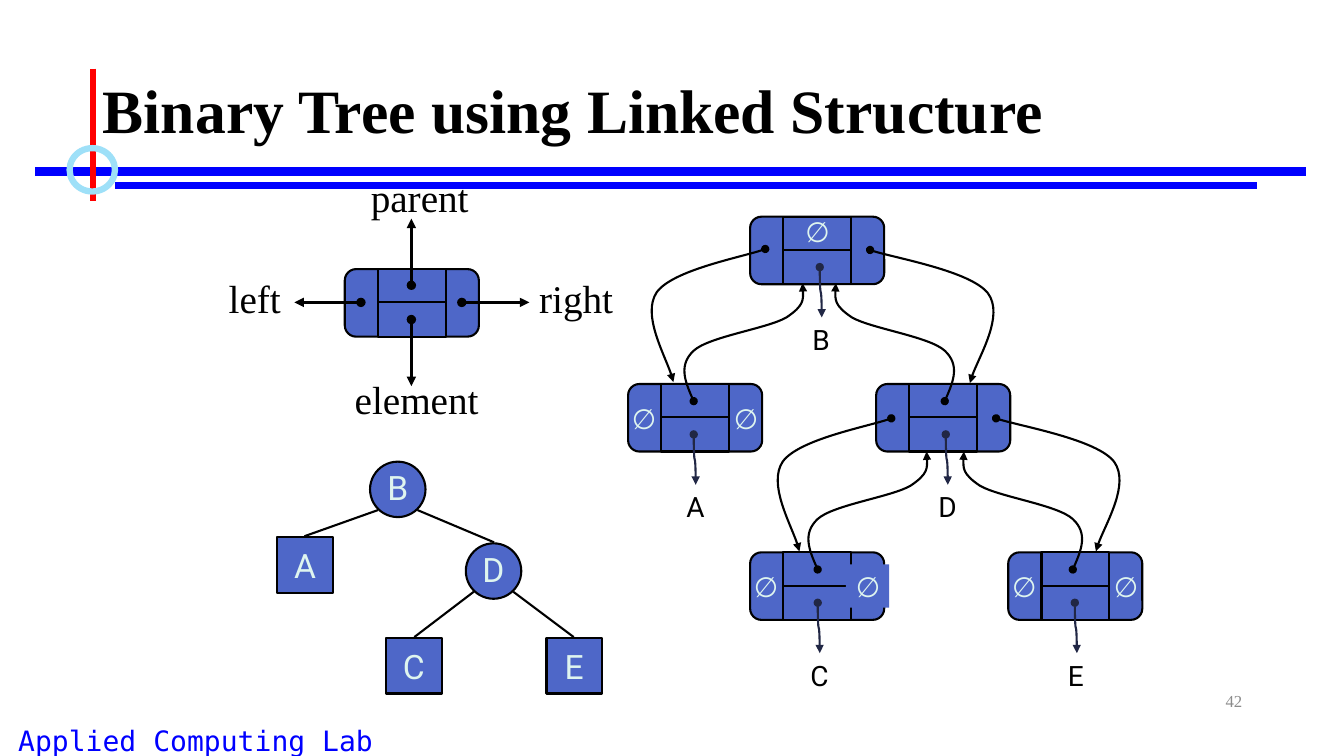
from lxml import etree
from pptx import Presentation
from pptx.dml.color import RGBColor
from pptx.enum.shapes import MSO_CONNECTOR as Link, MSO_SHAPE as Shape
from pptx.enum.text import MSO_ANCHOR as Anchor, MSO_AUTO_SIZE as AutoSize, PP_ALIGN as Align
from pptx.oxml.ns import qn
from pptx.util import Inches, Pt

BLACK = RGBColor(0x00, 0x00, 0x00)
BLUE = RGBColor(0x00, 0x00, 0xFF)
RED = RGBColor(0xFF, 0x00, 0x00)
SKY = RGBColor(0x9E, 0xE0, 0xF8)
NODE = RGBColor(0x4E, 0x67, 0xC8)
MINT = RGBColor(0xDF, 0xF5, 0xEF)
NAVY = RGBColor(0x21, 0x27, 0x45)
GRAY = RGBColor(0x8C, 0x8C, 0x8C)
SERIF, SANS, MONO = "Times New Roman", "Roboto", "DejaVu Sans Mono"

UPWARD = [(-0.08, -0.18), (-0.15, -0.36), (0, -0.5),
          (0.15, -0.64), (0.73, -0.72), (0.92, -0.83),
          (1.1, -0.95), (1.09, -1.06), (1.08, -1.17)]
DOWNWARD = [(0.19, 0.07), (1, 0.21), (1.17, 0.43),
            (1.33, 0.65), (1.03, 1.14), (0.99, 1.32)]


class TreeSlide:
    """Draws the elements of a linked binary tree on one slide."""

    def __init__(self, deck):
        self.page = deck.slides.add_slide(deck.slide_layouts[5])
        self.shapes = self.page.shapes

    def add_words(self, frame, words, size, font, color, align=Align.CENTER, bold=False):
        para = frame.paragraphs[0]
        para.alignment = align
        span = para.add_run()
        span.text = words
        span.font.size = Pt(size)
        span.font.name = font
        span.font.bold = bold
        span.font.color.rgb = color
        return para

    def title(self, words):
        box = self.shapes.title
        box.left, box.top, box.width, box.height = map(Inches, (0.92, 0.4, 11.5, 1.45))
        box.text_frame.vertical_anchor = Anchor.MIDDLE
        box.text_frame.auto_size = AutoSize.NONE
        para = self.add_words(box.text_frame, words, 44, SERIF, BLACK, Align.LEFT, True)
        para.line_spacing = 0.9

    def text(self, place, words, size, font, color, align=Align.CENTER, wrap=False, fill=None):
        box = self.shapes.add_textbox(*map(Inches, place))
        frame = box.text_frame
        frame.word_wrap = wrap
        frame.auto_size = AutoSize.NONE if wrap else AutoSize.SHAPE_TO_FIT_TEXT
        if fill is not None:
            box.fill.solid()
            box.fill.fore_color.rgb = fill
        self.add_words(frame, words, size, font, color, align)
        return frame

    def shape(self, kind, place, fill=NODE, color=BLACK, width=1.5):
        box = self.shapes.add_shape(kind, *map(Inches, place))
        box.shadow.inherit = False
        if fill is None:
            box.fill.background()
        else:
            box.fill.solid()
            box.fill.fore_color.rgb = fill
        box.line.color.rgb = color
        box.line.width = Pt(width)
        return box

    def stroke(self, item, color, width, arrow):
        item.line.color.rgb = color
        item.line.width = Pt(width)
        if arrow:
            outline = item._element.spPr.find(qn("a:ln"))
            etree.SubElement(outline, qn("a:headEnd"), type="oval")
            etree.SubElement(outline, qn("a:tailEnd"), type="triangle")

    def line(self, start, end, color=BLACK, width=1.5, arrow=False, kind=Link.STRAIGHT):
        item = self.shapes.add_connector(kind, *map(Inches, (*start, *end)))
        self.stroke(item, color, width, arrow)
        etree.SubElement(item._element.spPr, qn("a:effectLst"))
        return item

    def curve(self, x, y, offsets, stretch):
        builder = self.shapes.build_freeform(Inches(x), Inches(y))
        builder.add_line_segments(
            [(Inches(x + stretch * dx), Inches(y + dy)) for dx, dy in offsets], close=False)
        item = builder.convert_to_shape()
        item.shadow.inherit = False
        item.fill.background()
        self.stroke(item, BLACK, 1.5, True)
        steps = list(item._element.iter(qn("a:lnTo")))
        for first in range(0, len(steps), 3):
            bend = etree.Element(qn("a:cubicBezTo"))
            steps[first].addprevious(bend)
            for step in steps[first:first + 3]:
                bend.append(step[0])
                step.getparent().remove(step)

    def cells(self, x, y):
        body = self.shape(Shape.ROUNDED_RECTANGLE, (x, y, 1.33, 0.67))
        body.adjustments[0] = 0.167
        self.shape(Shape.RECTANGLE, (x + 0.33, y, 0.67, 0.67))
        self.line((x + 0.33, y + 0.33), (x + 1, y + 0.33))

    def null(self, x, y, fill=None):
        self.text((x, y, 0.43, 0.43), "∅", 20, SANS, MINT, fill=fill)

    def record(self, name, x, y, pointer, leaf):
        self.cells(x, y)
        if leaf:
            self.null(x - 0.06, y + 0.12)
            self.null(x + 0.95, y + 0.12, NODE if name == "C" else None)
        self.text((pointer - 0.17, y + 1, 0.36, 0.43), name, 20, SANS, BLACK)
        arrow = self.line((pointer + 0.26, y + 0.74), (pointer - 0.24, y + 0.76),
                          NAVY, arrow=True, kind=Link.CURVE)
        arrow._element.spPr.find(qn("a:xfrm")).set("rot", "16200000")

    def vertex(self, name, kind, x, y):
        box = self.shape(kind, (x, y, 0.55, 0.55))
        frame = box.text_frame
        frame.word_wrap = False
        frame.vertical_anchor = Anchor.MIDDLE
        if kind == Shape.OVAL:
            frame.margin_left = frame.margin_right = frame.margin_top = 0
        self.add_words(frame, name, 24, SANS, MINT)


def main():
    deck = Presentation()
    deck.slide_width, deck.slide_height = Inches(13.33), Inches(7.5)
    slide = TreeSlide(deck)

    slide.text((-0.58, 7.13, 5.04, 0.43), "Applied Computing Lab", 20, MONO, BLUE, wrap=True)
    slide.line((0.35, 1.7), (12.95, 1.7), BLUE, 6)
    slide.line((1.14, 1.84), (12.47, 1.84), BLUE, 4.5)
    slide.line((0.92, 0.68), (0.92, 1.99), RED, 4.5)
    slide.shape(Shape.OVAL, (0.69, 1.47, 0.45, 0.43), None, SKY, 4.5)
    slide.title("Binary Tree using Linked Structure")
    number = slide.text((9.42, 6.75, 3, 0.4), "42", 12, SERIF, GRAY, Align.RIGHT, True)
    number.vertical_anchor = Anchor.MIDDLE

    for name, kind, x, y in [("B", Shape.OVAL, 3.67, 4.58), ("D", Shape.OVAL, 4.62, 5.39),
                             ("A", Shape.RECTANGLE, 2.75, 5.33),
                             ("C", Shape.RECTANGLE, 3.83, 6.33),
                             ("E", Shape.RECTANGLE, 5.42, 6.33)]:
        slide.vertex(name, kind, x, y)
    for child, parent in [((5.69, 6.32), (5.09, 5.87)), ((4.11, 6.32), (4.7, 5.87)),
                          ((3.02, 5.32), (3.75, 5.06)), ((4.9, 5.38), (4.14, 5.06))]:
        slide.line(child, parent)

    for name, x, y, pointer, leaf in [("B", 7.44, 2.15, 8.13, False),
                                      ("A", 6.23, 3.81, 6.88, True),
                                      ("D", 8.69, 3.81, 9.38, False),
                                      ("C", 7.44, 5.48, 8.11, True),
                                      ("E", 10, 5.48, 10.66, True)]:
        slide.record(name, x, y, pointer, leaf)
    for x, y, side in [(6.88, 3.98, 1), (9.37, 3.98, -1), (10.64, 5.65, -1), (8.11, 5.65, 1)]:
        slide.curve(x, y, UPWARD, side)
    for x, y, side in [(7.59, 2.47, -0.92), (8.63, 2.48, 1), (9.88, 4.15, 1), (8.84, 4.15, -0.92)]:
        slide.curve(x, y, DOWNWARD, side)
    slide.null(7.89, 2.08)

    slide.cells(3.42, 2.67)
    for start, end in [((4.08, 2.83), (4.08, 2.17)), ((4.58, 3), (5.25, 3)),
                       ((4.08, 3.17), (4.08, 3.83)), ((3.58, 3), (2.92, 3))]:
        slide.line(start, end, width=2.25, arrow=True)
    for name, x, y, width in [("parent", 3.58, 1.67, 1.17), ("right", 5.25, 2.67, 0.94),
                              ("left", 2.17, 2.67, 0.72), ("element", 3.42, 3.67, 1.43)]:
        slide.text((x, y, width, 0.57), name, 28, SERIF, BLACK, Align.LEFT)

    deck.save("out.pptx")


if __name__ == "__main__":
    main()
